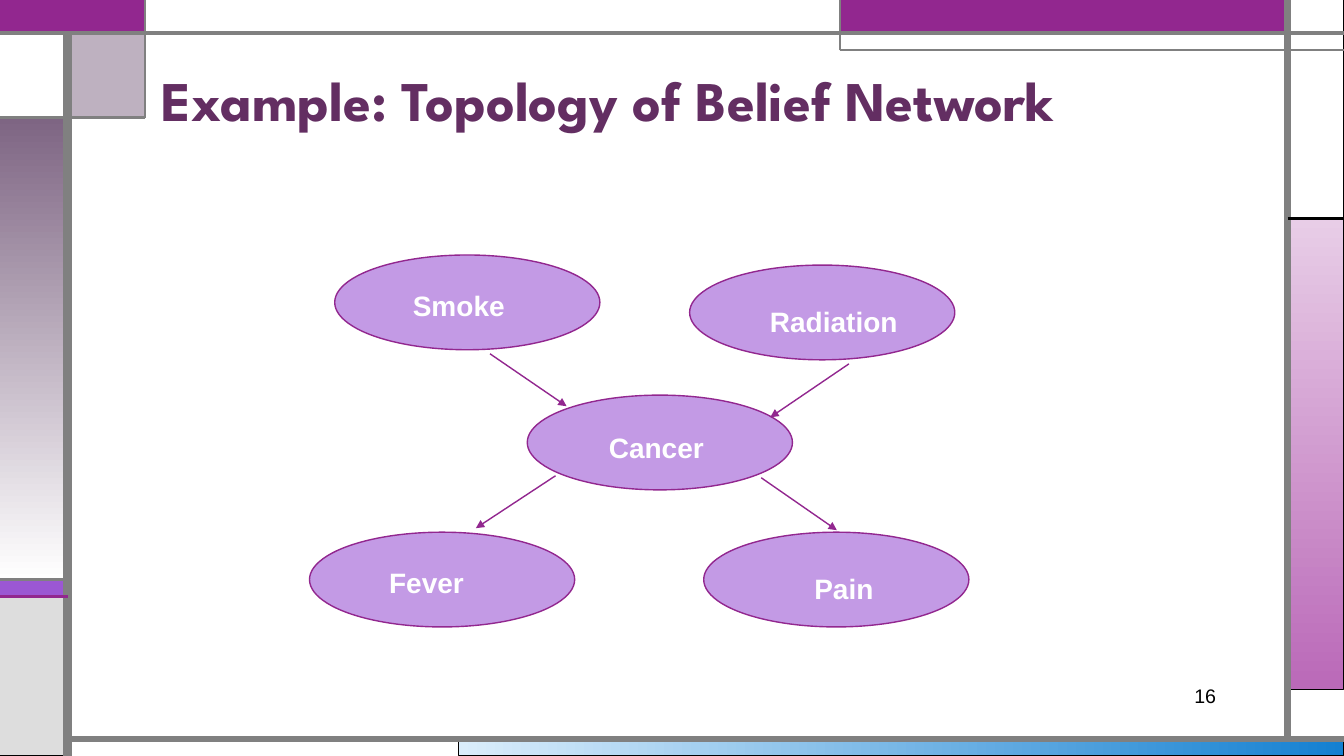
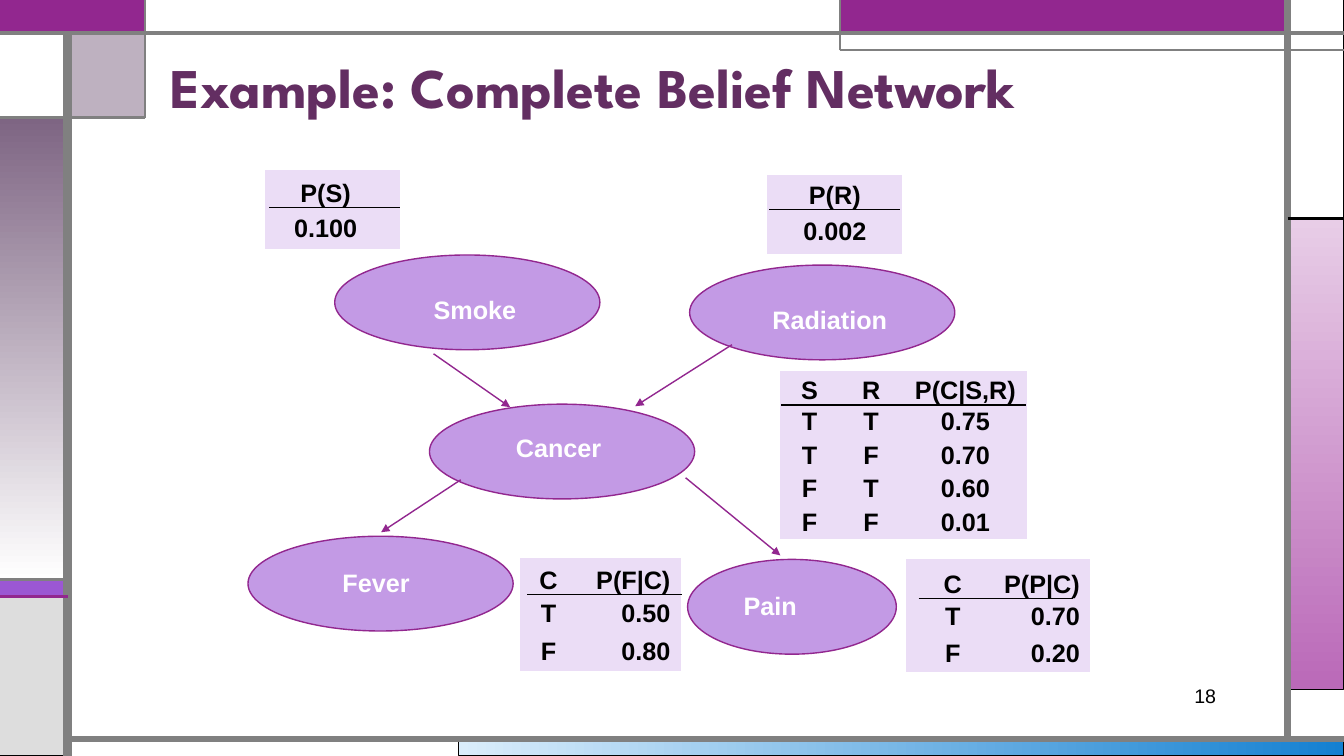
import pptx
import pptx.dml.color
import pptx.enum.shapes
import pptx.enum.text
import pptx.oxml.ns
import pptx.util
from lxml import etree

Inches, Pt = pptx.util.Inches, pptx.util.Pt
RGBColor = pptx.dml.color.RGBColor
MSO_SHAPE = pptx.enum.shapes.MSO_SHAPE
ANCHOR = pptx.enum.text.MSO_ANCHOR
ALIGN = pptx.enum.text.PP_ALIGN
qn = pptx.oxml.ns.qn

BLACK = RGBColor(0x00, 0x00, 0x00)
WHITE = RGBColor(0xFF, 0xFF, 0xFF)
GRAY = RGBColor(0x80, 0x80, 0x80)
SILVER = RGBColor(0xDD, 0xDD, 0xDD)
PURPLE = RGBColor(0x92, 0x27, 0x8F)
VIOLET = RGBColor(0x9B, 0x57, 0xD3)
INDIGO = RGBColor(0x75, 0x5D, 0xD9)
MAUVE = RGBColor(0x7E, 0x65, 0x83)
PLUM = RGBColor(0x63, 0x2E, 0x62)
LILAC = RGBColor(0xC3, 0x9A, 0xE5)
PALE_LILAC = RGBColor(0xEB, 0xDD, 0xF6)
PALE_PINK = RGBColor(0xE8, 0xCD, 0xE7)
PINK = RGBColor(0xBA, 0x69, 0xB8)
PALE_BLUE = RGBColor(0xDA, 0xED, 0xFB)
BLUE = RGBColor(0x14, 0x80, 0xD1)

BODY_FONT, TITLE_FONT = "Arial", "League Spartan"
PLAIN_TABLE_STYLE = "{2D5ABB26-0587-4C30-8999-92F81FD0307C}"
WIDTH, HEIGHT = 13.33, 7.5
RAIL, SIDE, TOP, BASE = 0.67, 12.77, 0.33, 7.33
TAB, BANNER, CORNER = 1.44, 8.33, 1.17
STRIPE_TOP, STRIPE_BOTTOM, PANEL_TOP = 5.75, 5.92, 2.17
ACROSS, DOWN = 0, 270

BANDS = [
    ((4.55, BASE, WIDTH, HEIGHT), (PALE_BLUE, BLUE, ACROSS), BLACK, 0.75),
    ((SIDE, PANEL_TOP, WIDTH, 6.84), (PALE_PINK, PINK, DOWN), BLACK, 0.75),
    ((0, STRIPE_TOP, RAIL, STRIPE_BOTTOM), VIOLET, BLACK, 0.75),
    ((0, STRIPE_BOTTOM, RAIL, HEIGHT), SILVER, BLACK, 0.75),
    ((SIDE, 0, WIDTH, PANEL_TOP), WHITE, BLACK, 0.75),
    ((BANNER, 0, SIDE, TOP), PURPLE, INDIGO, 0.75),
    ((RAIL, TOP, TAB, CORNER), MAUVE, BLACK, 0.75),
    ((0, CORNER, RAIL, STRIPE_TOP), (MAUVE, WHITE, DOWN), BLACK, 0.75),
    ((0, TOP, RAIL, CORNER), WHITE, BLACK, 0.75),
    ((0, 0, TAB, TOP), PURPLE, PURPLE, 1.5),
    ((TAB, 0, BANNER, TOP), WHITE, GRAY, 0.75),
]
RULES = [
    ((RAIL, HEIGHT, RAIL, TOP), GRAY, 6),
    ((RAIL, BASE, WIDTH, BASE), GRAY, 4.5),
    ((SIDE, BASE, SIDE, 0), GRAY, 4.5),
    ((0, TOP, WIDTH, TOP), GRAY, 3),
    ((WIDTH, 0.5, BANNER, 0.5), GRAY, 1.5),
    ((BANNER, 0.5, BANNER, 0), GRAY, 1.5),
    ((SIDE, PANEL_TOP, WIDTH, PANEL_TOP), BLACK, 2.25),
    ((TAB, 0, TAB, CORNER), GRAY, 1.5),
    ((TAB, CORNER, 0, CORNER), GRAY, 2.25),
    ((RAIL, STRIPE_TOP, 0, STRIPE_TOP), GRAY, 2.25),
    ((RAIL, STRIPE_BOTTOM, 0, STRIPE_BOTTOM), PURPLE, 2.25),
]

NODE_WIDTH, NODE_HEIGHT, LABEL_WIDTH = 2.63, 0.94, 2.22
SLIDES = [
    {
        "title": "Example: Topology of Belief Network",
        "title_at": (1.5, 0.12),
        "number": "16",
        "label_size": 20,
        "nodes": [
            ("Smoke", (3.32, 2.53), NODE_WIDTH, (3.44, 2.81)),
            ("Radiation", (6.84, 2.63), NODE_WIDTH, (7.16, 2.97)),
            ("Cancer", (5.23, 3.92), NODE_WIDTH, (5.4, 4.22)),
            ("Fever", (3.07, 5.28), NODE_WIDTH, (3.12, 5.56)),
            ("Pain", (6.98, 5.28), NODE_WIDTH, (7.26, 5.62)),
        ],
        "arrows": [
            (4.86, 3.51, 5.62, 4.03),
            (8.42, 3.61, 7.64, 4.14),
            (5.51, 4.72, 4.72, 5.24),
            (7.55, 4.74, 8.3, 5.26),
        ],
        "tables": [],
    },
    {
        "title": "Example: Complete Belief Network",
        "title_at": (1.59, 0),
        "number": "18",
        "label_size": 18,
        "nodes": [
            ("Smoke", (3.32, 2.53), NODE_WIDTH, (3.6, 2.87)),
            ("Radiation", (6.84, 2.63), NODE_WIDTH, (7.12, 2.97)),
            ("Cancer", (4.26, 4.01), NODE_WIDTH, (4.43, 4.24)),
            ("Fever", (2.46, 5.32), NODE_WIDTH, (2.62, 5.58)),
            ("Pain", (6.82, 5.55), 2.07, (6.53, 5.81)),
        ],
        "arrows": [
            (4.3, 3.51, 5.06, 4.04),
            (7.26, 3.42, 6.3, 4.03),
            (4.57, 4.76, 3.78, 5.28),
            (6.8, 4.74, 7.74, 5.51),
        ],
        "tables": [
            {"rows": [["P(S)"], ["0.100"]], "at": (2.63, 1.69), "height": 0.78,
             "columns": [1.34], "pad": 0.14, "rule": (2.67, 3.97, 2.06)},
            {"rows": [["P(R)"], ["0.002"]], "at": (7.61, 1.74), "height": 0.78,
             "columns": [1.34], "pad": 0, "rule": (7.63, 8.93, 2.08)},
            {"rows": [["S", "R", "P(C|S,R)"], ["T", "T", "0.75"], ["T", "F", "0.70"],
                      ["F", "T", "0.60"], ["F", "F", "0.01"]],
             "at": (7.74, 3.68), "height": 1.67,
             "columns": [0.58, 0.64, 1.23], "pad": 0, "rule": (7.75, 10.18, 4.02)},
            {"rows": [["C", "P(F|C)"], ["T", "0.50"], ["F", "0.80"]],
             "at": (5.16, 5.54), "height": 1.12,
             "columns": [0.56, 1.03], "pad": 0.1, "rule": (5.23, 6.76, 5.9)},
            {"rows": [["C", "P(P|C)"], ["T", "0.70"], ["F", "0.20"]],
             "at": (8.99, 5.55), "height": 1.12,
             "columns": [0.92, 0.9], "pad": 0.1, "rule": (9.11, 10.64, 5.94)},
        ],
    },
]


def set_font(paragraph, size, color, bold=True, name=BODY_FONT):
    font = paragraph.font
    font.name, font.size, font.bold = name, Pt(size), bold
    font.color.rgb = color


def add_shape(slide, preset, box, fill, line, weight):
    shape = slide.shapes.add_shape(preset, *map(Inches, box))
    shape.shadow.inherit = False
    if isinstance(fill, RGBColor):
        shape.fill.solid()
        shape.fill.fore_color.rgb = fill
    else:
        *stops, angle = fill
        shape.fill.gradient()
        shape.fill.gradient_angle = angle
        for stop, color in zip(shape.fill.gradient_stops, stops):
            stop.color.rgb = color
    shape.line.color.rgb = line
    shape.line.width = Pt(weight)
    return shape


def add_line(slide, ends, color, weight, arrow=False):
    line = slide.shapes.add_connector(
        pptx.enum.shapes.MSO_CONNECTOR.STRAIGHT, *map(Inches, ends))
    line.line.color.rgb = color
    line.line.width = Pt(weight)
    properties = line.element.spPr
    if arrow:
        etree.SubElement(properties.find(qn("a:ln")), qn("a:tailEnd"), type="triangle")
    etree.SubElement(properties, qn("a:effectLst"))


def add_text(slide, text, box, anchor, align):
    frame = slide.shapes.add_textbox(*map(Inches, box)).text_frame
    frame.word_wrap = True
    frame.vertical_anchor = anchor
    paragraph = frame.paragraphs[0]
    paragraph.text = text
    paragraph.alignment = align
    return paragraph


def add_probability_table(slide, rows, at, height, columns, pad, rule):
    rule_left, rule_right, rule_y = rule
    left, top = at
    header_height = rule_y - top
    row_height = (height - header_height) / (len(rows) - 1)
    table = slide.shapes.add_table(
        len(rows), len(columns), *map(Inches, (left, top, sum(columns), height))).table
    table.first_row = table.horz_banding = False
    table._tbl.tblPr.find(qn("a:tableStyleId")).text = PLAIN_TABLE_STYLE
    for column, width in zip(table.columns, columns):
        column.width = Inches(width)
    for r, values in enumerate(rows):
        table.rows[r].height = Inches(row_height if r else header_height)
        for c, value in enumerate(values):
            cell = table.cell(r, c)
            cell.fill.solid()
            cell.fill.fore_color.rgb = PALE_LILAC
            cell.margin_left = cell.margin_top = cell.margin_bottom = 0
            last = c == len(values) - 1
            cell.margin_right = Inches(pad if last else 0)
            cell.vertical_anchor = ANCHOR.MIDDLE if r else ANCHOR.BOTTOM
            paragraph = cell.text_frame.paragraphs[0]
            paragraph.text = value
            flush = last and len(values) == 2
            paragraph.alignment = ALIGN.RIGHT if flush else ALIGN.CENTER
            set_font(paragraph, 18, BLACK)
    add_line(slide, (rule_left, rule_y, rule_right, rule_y), BLACK, 1)


def draw_frame(slide):
    for (left, top, right, bottom), fill, line, weight in BANDS:
        band = add_shape(slide, MSO_SHAPE.RECTANGLE,
                         (left, top, right - left, bottom - top), fill, line, weight)
        if fill == MAUVE:
            color = band.element.spPr.find(".//" + qn("a:srgbClr"))
            etree.SubElement(color, qn("a:alpha"), val="50000")
    for rule in RULES:
        add_line(slide, *rule)


def move_frame_to_layout(slide, layout):
    tree = layout.shapes.element
    for placeholder in list(layout.placeholders):
        tree.remove(placeholder.element)
    for shape in list(slide.shapes):
        tree.append(shape.element)


def draw_content(slide, content):
    number = add_text(slide, content["number"], (11.08, 6.75, 1.08, 0.3),
                      ANCHOR.MIDDLE, ALIGN.RIGHT)
    set_font(number, 14, BLACK, bold=False)
    title = add_text(slide, content["title"], (*content["title_at"], 10.5, 1.25),
                     ANCHOR.BOTTOM, ALIGN.LEFT)
    title.line_spacing = 0.9
    set_font(title, 40, PLUM, name=TITLE_FONT)
    for name, at, width, label_at in content["nodes"]:
        add_shape(slide, MSO_SHAPE.OVAL, (*at, width, NODE_HEIGHT), LILAC, PURPLE, 1)
        label = add_text(slide, name, (*label_at, LABEL_WIDTH, 0.43),
                         ANCHOR.TOP, ALIGN.CENTER)
        set_font(label, content["label_size"], WHITE)
    for ends in content["arrows"]:
        add_line(slide, ends, PURPLE, 1, arrow=True)
    for table in content["tables"]:
        add_probability_table(slide, **table)


def main():
    deck = pptx.Presentation()
    deck.slide_width, deck.slide_height = Inches(WIDTH), Inches(HEIGHT)
    blank = deck.slide_layouts[6]
    slides = [deck.slides.add_slide(blank) for _ in SLIDES]
    draw_frame(slides[0])
    move_frame_to_layout(slides[0], blank)
    for slide, content in zip(slides, SLIDES):
        draw_content(slide, content)
    deck.save("out.pptx")


if __name__ == "__main__":
    main()
